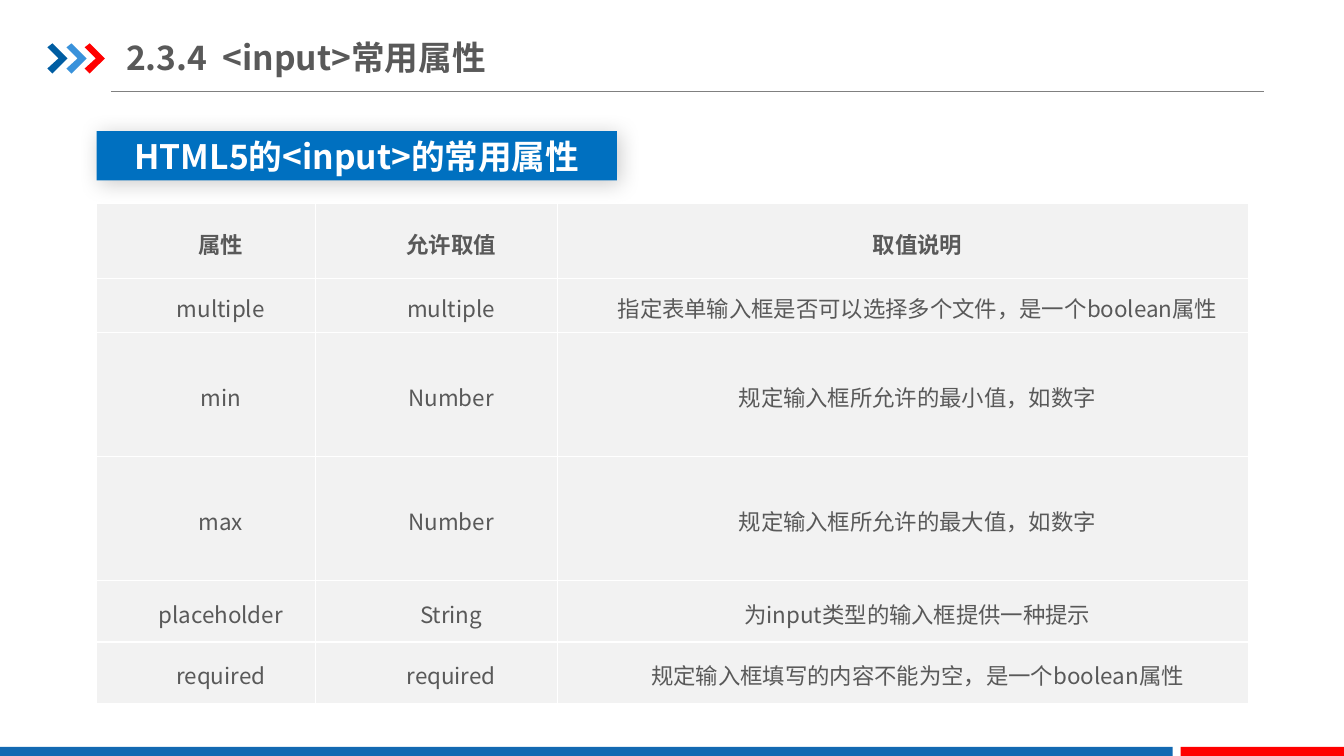
import lxml.etree
import pptx
import pptx.dml.color
import pptx.enum.shapes
import pptx.enum.text
import pptx.oxml.ns
import pptx.util

Inches = pptx.util.Inches
Pt = pptx.util.Pt
qn = pptx.oxml.ns.qn
FONT = "Noto Sans CJK SC"


def color(value):
    return pptx.dml.color.RGBColor.from_string(value)


def style(paragraph, size, bold, value):
    font = paragraph.font
    font.name = FONT
    font.size = Pt(size)
    font.bold = bold
    font.color.rgb = color(value)
    defaults = paragraph._p.pPr.find(qn("a:defRPr"))
    lxml.etree.SubElement(defaults, qn("a:ea"), typeface=FONT)


presentation = pptx.Presentation()
presentation.slide_width = Inches(13.33)
presentation.slide_height = Inches(7.5)
slide = presentation.slides.add_slide(presentation.slide_layouts[6])
shapes = slide.shapes

rule = shapes.add_connector(
    pptx.enum.shapes.MSO_CONNECTOR.STRAIGHT,
    Inches(1.1), Inches(0.91), Inches(12.54), Inches(0.91),
)
rule.line.color.rgb = color("808080")
rule.line.width = Pt(0.75)
lxml.etree.SubElement(rule._element.spPr, qn("a:effectLst"))

chevron_points = [(0.05, 0), (0.2, 0.15), (0.05, 0.3), (0, 0.25), (0.11, 0.15)]
for left, fill in [(0.47, "005DA2"), (0.66, "3992DB"), (0.84, "FF0000")]:
    builder = shapes.build_freeform(
        Inches(left), Inches(0.47), scale=1.0
    )
    builder.add_line_segments(
        [(Inches(left + x), Inches(0.43 + y)) for x, y in chevron_points]
    )
    chevron = builder.convert_to_shape()
    chevron.shadow.inherit = False
    chevron.fill.solid()
    chevron.fill.fore_color.rgb = color(fill)
    chevron.line.fill.background()

bars = [
    (0, 7.41, 11.63, 0.09, "1369B2"),
    (11.71, 7.41, 1.62, 0.09, "FF0000"),
    (0.96, 1.3, 5.16, 0.49, "0070C0"),
]
for left, top, width, height, fill in bars:
    bar = shapes.add_shape(
        pptx.enum.shapes.MSO_SHAPE.RECTANGLE,
        Inches(left), Inches(top), Inches(width), Inches(height),
    )
    bar.shadow.inherit = False
    bar.fill.solid()
    bar.fill.fore_color.rgb = color(fill)
    bar.line.fill.background()

banner = bar
effects = banner._element.spPr.find(qn("a:effectLst"))
shadow = lxml.etree.SubElement(
    effects, qn("a:outerShdw"), blurRad=str(Pt(15)), dist=str(Pt(3)),
    dir=str(45 * 60000), algn="tl", rotWithShape="0",
)
shadow_color = lxml.etree.SubElement(shadow, qn("a:srgbClr"), val="000000")
lxml.etree.SubElement(shadow_color, qn("a:alpha"), val="20000")
frame = banner.text_frame
frame.margin_left = frame.margin_right = Inches(0.08)
frame.margin_top = frame.margin_bottom = Inches(0.04)
frame.vertical_anchor = pptx.enum.text.MSO_ANCHOR.MIDDLE
paragraph = frame.paragraphs[0]
paragraph.text = "HTML5的<input>的常用属性"
paragraph.alignment = pptx.enum.text.PP_ALIGN.CENTER
style(paragraph, 24, True, "FFFFFF")

title = shapes.add_textbox(Inches(1.25), Inches(0.29), Inches(5.49), Inches(0.55))
frame = title.text_frame
frame.word_wrap = True
frame.margin_left = frame.margin_right = 0
frame.margin_top = frame.margin_bottom = Inches(0.07)
frame.vertical_anchor = pptx.enum.text.MSO_ANCHOR.MIDDLE
paragraph = frame.paragraphs[0]
paragraph.text = "2.3.4  <input>常用属性"
style(paragraph, 24, True, "595959")

attributes = [
    ("属性", "允许取值", "取值说明"),
    ("multiple", "multiple", "指定表单输入框是否可以选择多个文件，是一个boolean属性"),
    ("min", "Number", "规定输入框所允许的最小值，如数字"),
    ("max", "Number", "规定输入框所允许的最大值，如数字"),
    ("placeholder", "String", "为input类型的输入框提供一种提示"),
    ("required", "required", "规定输入框填写的内容不能为空，是一个boolean属性"),
]
column_widths = [2.17, 2.4, 6.85]
row_heights = [0.74, 0.54, 1.23, 1.23, 0.61, 0.61]
table = shapes.add_table(
    len(row_heights), len(column_widths),
    Inches(0.96), Inches(2.02), Inches(11.42), Inches(4.96),
).table
for column, width in zip(table.columns, column_widths):
    column.width = Inches(width)
for row, height in zip(table.rows, row_heights):
    row.height = Inches(height)

for row_index, row_texts in enumerate(attributes):
    for column_index, text in enumerate(row_texts):
        cell = table.cell(row_index, column_index)
        cell.margin_left = cell.margin_right = Inches(0.07)
        cell.margin_top = cell.margin_bottom = 0
        cell.vertical_anchor = pptx.enum.text.MSO_ANCHOR.MIDDLE
        cell.fill.solid()
        cell.fill.fore_color.rgb = color("F2F2F2")
        properties = cell._tc.get_or_add_tcPr()
        for position, side in enumerate(["a:lnL", "a:lnR", "a:lnT", "a:lnB"]):
            border = lxml.etree.Element(qn(side), w=str(Pt(1)))
            border_fill = lxml.etree.SubElement(border, qn("a:solidFill"))
            lxml.etree.SubElement(border_fill, qn("a:srgbClr"), val="FFFFFF")
            properties.insert(position, border)
        paragraph = cell.text_frame.paragraphs[0]
        paragraph.text = text
        paragraph.alignment = pptx.enum.text.PP_ALIGN.CENTER
        paragraph.line_spacing = 1.15
        paragraph._p.pPr.set("marL", "0")
        paragraph._p.pPr.set("indent", str(Inches(0.29)))
        style(paragraph, 16, row_index == 0, "595959")

presentation.save("out.pptx")
